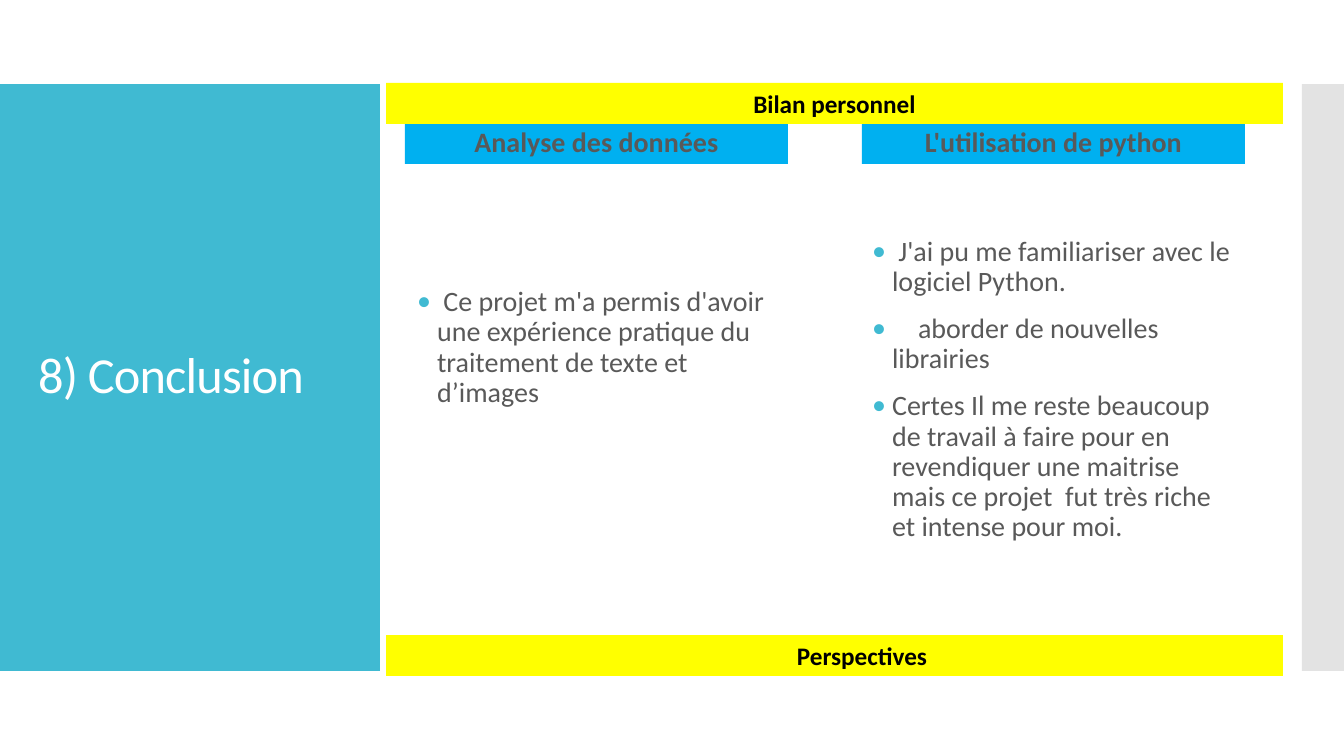
from lxml import etree
from pptx import Presentation
from pptx import util as u
from pptx.dml.color import RGBColor
from pptx.enum import shapes, text
from pptx.oxml import ns

PX = 914400 / 100.8
FONT = "Calibri"
COLORS = {
    "teal": "40BAD2",
    "grey": "E3E3E3",
    "blue": "00B0F0",
    "yellow": "FFFF00",
    "white": "FFFFFF",
    "body": "595959",
    "black": "000000",
}


def place(shape, box, fill=None):
    """Position a shape by its pixel box and optionally give it a solid fill."""
    shape.left, shape.top, shape.width, shape.height = [u.Emu(round(n * PX)) for n in box]
    if fill:
        shape.fill.solid()
        shape.fill.fore_color.rgb = RGBColor.from_string(COLORS[fill])


def style(para, size, color, bold=False):
    para.font.name = FONT
    para.font.size = u.Pt(size)
    para.font.bold = bold
    para.font.color.rgb = RGBColor.from_string(COLORS[color])


deck = Presentation()
deck.slide_width = u.Emu(round(1344 * PX))
deck.slide_height = u.Emu(round(756 * PX))
page = deck.slides.add_slide(deck.slide_layouts[4])
title, left_head, left_body, right_head, right_body = list(page.placeholders)

# Side panels, behind the text
for box, fill in [((0, 84, 380, 587), "teal"), ((1302, 84, 42, 587), "grey")]:
    panel = page.shapes.add_shape(shapes.MSO_SHAPE.RECTANGLE, 0, 0, 0, 0)
    place(panel, box, fill)
    panel.line.fill.background()
    panel.shadow.inherit = False
    panel.element.getparent().insert(2, panel.element)

# Title
place(title, (28, 124, 325, 507))
title.text_frame.text = "8) Conclusion"
title.text_frame.vertical_anchor = text.MSO_ANCHOR.MIDDLE
title.text_frame.auto_size = text.MSO_AUTO_SIZE.NONE
para = title.text_frame.paragraphs[0]
para.alignment = text.PP_ALIGN.LEFT
para.line_spacing = 0.9
style(para, 36, "white")
para.runs[0].font.size = u.Pt(36)
para.runs[0].font._element.set("spc", "-60")

# Column headings
for head, left, label in [
    (left_head, 405, "Analyse des données"),
    (right_head, 862, "L'utilisation de python"),
]:
    place(head, (left, 124, 383, 40), "blue")
    head.text_frame.text = label
    head.text_frame.vertical_anchor = text.MSO_ANCHOR.BOTTOM
    head.text_frame.auto_size = text.MSO_AUTO_SIZE.NONE
    para = head.text_frame.paragraphs[0]
    para.alignment = text.PP_ALIGN.CENTER
    para.line_spacing = 0.9
    para.space_before = u.Pt(0)
    style(para, 20, "body", bold=True)

# Bulleted lists
for body, box, items in [
    (left_body, (407, 164, 399, 368), [
        " Ce projet m'a permis d'avoir une expérience pratique du traitement de texte et d’images",
    ]),
    (right_body, (862, 168, 383, 444), [
        " J'ai pu me familiariser avec le logiciel Python.",
        "\taborder de nouvelles librairies",
        "Certes Il me reste beaucoup de travail à faire pour en revendiquer une maitrise "
        "mais ce projet  fut très riche et intense pour moi.",
    ]),
]:
    place(body, box)
    body.text_frame.text = "\n".join(items)
    body.text_frame.vertical_anchor = text.MSO_ANCHOR.MIDDLE
    body.text_frame.auto_size = text.MSO_AUTO_SIZE.NONE
    for number, para in enumerate(body.text_frame.paragraphs):
        para.line_spacing = 0.9
        para.space_before = u.Pt(12 if number else 0)
        props = para._p.get_or_add_pPr()
        props.set("marL", str(round(20 * PX)))
        props.set("indent", str(round(-20 * PX)))
        bullet_color = etree.SubElement(props, ns.qn("a:buClr"))
        etree.SubElement(bullet_color, ns.qn("a:srgbClr"), val=COLORS["teal"])
        etree.SubElement(props, ns.qn("a:buFont"), typeface=FONT)
        etree.SubElement(props, ns.qn("a:buChar"), char="•")
        if para.text.startswith("\t"):
            tabs = etree.SubElement(props, ns.qn("a:tabLst"))
            etree.SubElement(tabs, ns.qn("a:tab"), pos=str(round(46 * PX)), algn="l")
        style(para, 20, "body")

# Yellow section bands
for top, label, level, margin in [(83, "Bilan personnel", 0, 0), (635, "Perspectives", 1, 55)]:
    band = page.shapes.add_shape(shapes.MSO_SHAPE.RECTANGLE, 0, 0, 0, 0)
    place(band, (386, top, 897, 41), "yellow")
    band.line.fill.background()
    band.shadow.inherit = False
    band.text_frame.text = label
    band.text_frame.word_wrap = True
    band.text_frame.vertical_anchor = text.MSO_ANCHOR.TOP
    band.text_frame.auto_size = text.MSO_AUTO_SIZE.SHAPE_TO_FIT_TEXT
    para = band.text_frame.paragraphs[0]
    para.alignment = text.PP_ALIGN.CENTER
    para.level = level
    para._p.get_or_add_pPr().set("marL", str(round(margin * PX)))
    para._p.get_or_add_pPr().set("indent", "0")
    style(para, 18, "black", bold=True)

deck.save("out.pptx")
